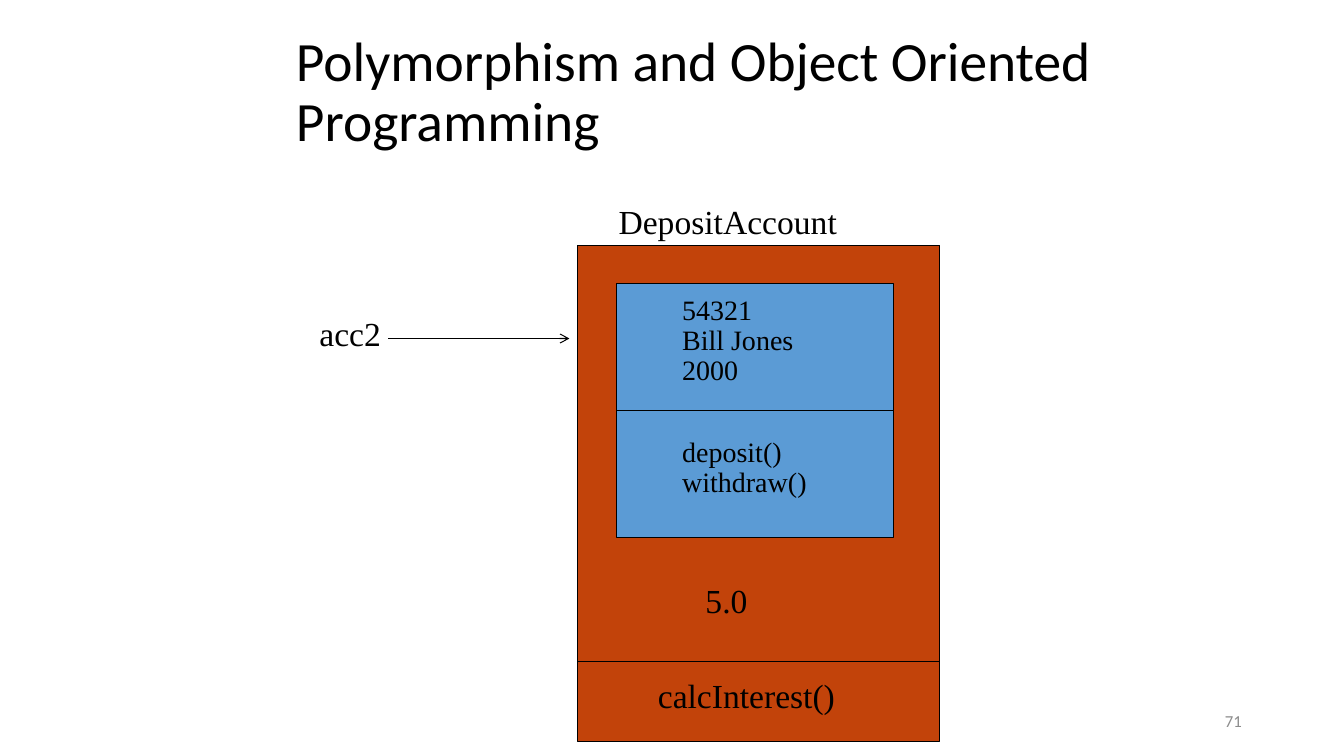
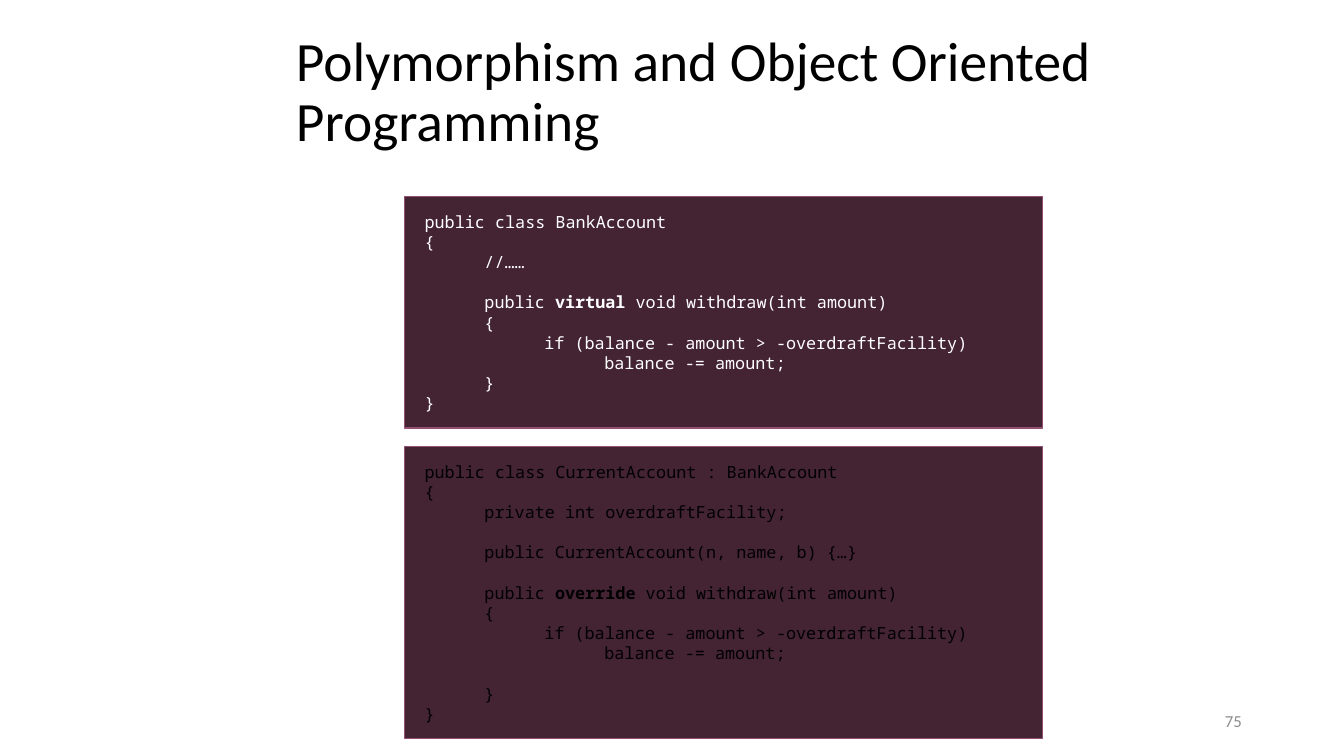
from dataclasses import dataclass

from lxml.etree import SubElement
from pptx import Presentation
from pptx.dml.color import RGBColor
from pptx.enum.shapes import MSO_CONNECTOR as Connector, MSO_SHAPE as Shape
from pptx.enum.text import MSO_ANCHOR as Anchor, PP_ALIGN as Align
from pptx.oxml.ns import qn
from pptx.util import Cm, Pt


# Colours, fonts and type sizes
@dataclass(frozen=True)
class Theme:
    ink: str = "000000"
    paper: str = "FFFFFF"
    muted: str = "8C8C8C"
    subclass_fill: str = "C2430A"
    base_fill: str = "5B9BD5"
    code_fill: str = "442333"
    code_line: str = "954F72"
    heading_font: str = "Calibri"
    diagram_font: str = "Times New Roman"
    code_font: str = "Noto Sans Mono"
    title_size: float = 39.6
    label_size: float = 24
    member_size: float = 20
    small_size: float = 12
    code_pitch: float = 14.4
    hairline: float = 0.75


THEME = Theme()
TITLE = "Polymorphism and Object Oriented Programming"

BASE_CODE = """public class BankAccount
{
    //……

    public virtual void withdraw(int amount)
    {
        if (balance - amount > -overdraftFacility)
            balance -= amount;
    }
}"""

DERIVED_CODE = """public class CurrentAccount : BankAccount
{
    private int overdraftFacility;

    public CurrentAccount(n, name, b) {…}

    public override void withdraw(int amount)
    {
        if (balance - amount > -overdraftFacility)
            balance -= amount;

    }
}"""


def add_text(para, text, *, font, size, color=THEME.ink, bold=False):
    """Append a formatted span to a paragraph."""
    span = para.add_run()
    span.text = text
    span.font.name = font
    span.font.size = Pt(size)
    span.font.bold = bold
    span.font.color.rgb = RGBColor.from_string(color)


class DeckBuilder:
    def __init__(self, theme):
        self.theme = theme
        self.deck = Presentation()
        self.deck.slide_width, self.deck.slide_height = Cm(33.87), Cm(19.05)
        self.page = None

    # Parts found on every slide
    def new_page(self, number):
        theme = self.theme
        self.page = self.deck.slides.add_slide(self.deck.slide_layouts[6])
        self.label([TITLE], 7.21, 0.76, 21.59, 3.18, font=theme.heading_font,
                   size=theme.title_size, spacing=0.9, anchor=Anchor.MIDDLE)
        self.label([str(number)], 23.93, 17.65, 7.62, 1.02,
                   font=theme.heading_font, size=theme.small_size,
                   color=theme.muted, align=Align.RIGHT, anchor=Anchor.MIDDLE)

    # Text box with one paragraph per line
    def label(self, lines, left, top, width, height, *, spacing=1.0,
              align=Align.LEFT, anchor=Anchor.TOP, **style):
        box = self.page.shapes.add_textbox(Cm(left), Cm(top), Cm(width), Cm(height))
        frame = box.text_frame
        frame.word_wrap = True
        frame.vertical_anchor = anchor
        for index, line in enumerate(lines):
            para = frame.add_paragraph() if index else frame.paragraphs[0]
            para.alignment = align
            para.line_spacing = spacing
            add_text(para, line, **style)

    def diagram_label(self, text, left, top, width):
        self.label([text], left, top, width, 1.27,
                   font=self.theme.diagram_font, size=self.theme.label_size)

    def members(self, lines, left, top, width, height):
        self.label(lines, left, top, width, height, spacing=0.9,
                   font=self.theme.diagram_font, size=self.theme.member_size)

    # Filled rectangle with an outline
    def panel(self, left, top, width, height, fill, line, weight):
        shape = self.page.shapes.add_shape(
            Shape.RECTANGLE, Cm(left), Cm(top), Cm(width), Cm(height))
        shape.shadow.inherit = False
        shape.fill.solid()
        shape.fill.fore_color.rgb = RGBColor.from_string(fill)
        shape.line.color.rgb = RGBColor.from_string(line)
        shape.line.width = Pt(weight)
        return shape

    # Class box split by a horizontal rule
    def class_box(self, left, top, width, height, divider, fill):
        self.panel(left, top, width, height, fill, self.theme.ink, self.theme.hairline)
        self.rule(left, left + width, divider)

    def rule(self, start, end, level, arrow=False):
        line = self.page.shapes.add_connector(
            Connector.STRAIGHT, Cm(start), Cm(level), Cm(end), Cm(level))
        line.line.color.rgb = RGBColor.from_string(self.theme.ink)
        line.line.width = Pt(self.theme.hairline)
        if arrow:
            SubElement(line.line._get_or_add_ln(), qn("a:tailEnd"), type="arrow")
        SubElement(line._element.spPr, qn("a:effectLst"))

    # Code listing: indents become margins, empty lines become spacing
    def listing(self, code, top, keyword, color):
        theme = self.theme
        lines = code.split("\n")
        side, inset, indent = 0.51, 0.38, 1.51
        height = 2 * inset + len(lines) * Pt(theme.code_pitch).cm
        shape = self.panel(10.19, top, 16.08, height, theme.code_fill, theme.code_line, 1)
        frame = shape.text_frame
        frame.word_wrap = True
        frame.vertical_anchor = Anchor.TOP
        frame.margin_left = frame.margin_right = Cm(side)
        frame.margin_top = frame.margin_bottom = Cm(inset)
        gap = 0
        for index, line in enumerate(lines):
            if not line:
                gap += theme.code_pitch
                continue
            para = frame.add_paragraph() if index else frame.paragraphs[0]
            para.alignment = Align.LEFT
            para.line_spacing = Pt(theme.code_pitch)
            para.space_before = Pt(gap)
            gap = 0
            words = line.lstrip()
            level = (len(line) - len(words)) // 4
            para._p.get_or_add_pPr().set("marL", str(Cm(indent * level)))
            for part in words.partition(keyword):
                if part:
                    add_text(para, part, font=theme.code_font, size=theme.small_size,
                             color=color, bold=part == keyword)
        return top + height


def build_object_page(builder):
    theme = builder.theme
    builder.new_page(71)

    # Derived object and the base object inside it
    builder.diagram_label("DepositAccount", 15.34, 4.95, 7.42)
    builder.class_box(14.55, 6.18, 9.14, 12.5, 16.66, theme.subclass_fill)
    builder.class_box(15.54, 7.14, 6.99, 6.4, 10.34, theme.base_fill)
    builder.members(["54321", "Bill Jones", "2000"], 16.94, 7.34, 4.57, 2.57)
    builder.members(["deposit()", "withdraw()"], 16.94, 10.92, 4.95, 1.78)
    builder.diagram_label("5.0", 17.53, 14.48, 2.59)
    builder.diagram_label("calcInterest()", 16.33, 16.87, 8.89)

    # Reference to the object
    builder.diagram_label("acc2", 7.8, 7.75, 4.45)
    builder.rule(9.78, 14.35, 8.53, arrow=True)


def build_code_page(builder):
    theme = builder.theme
    builder.new_page(75)
    bottom = builder.listing(BASE_CODE, 4.95, "virtual", theme.paper)
    builder.listing(DERIVED_CODE, bottom + 0.46, "override", theme.ink)


def main():
    builder = DeckBuilder(THEME)
    build_object_page(builder)
    build_code_page(builder)
    builder.deck.save("out.pptx")


if __name__ == "__main__":
    main()
